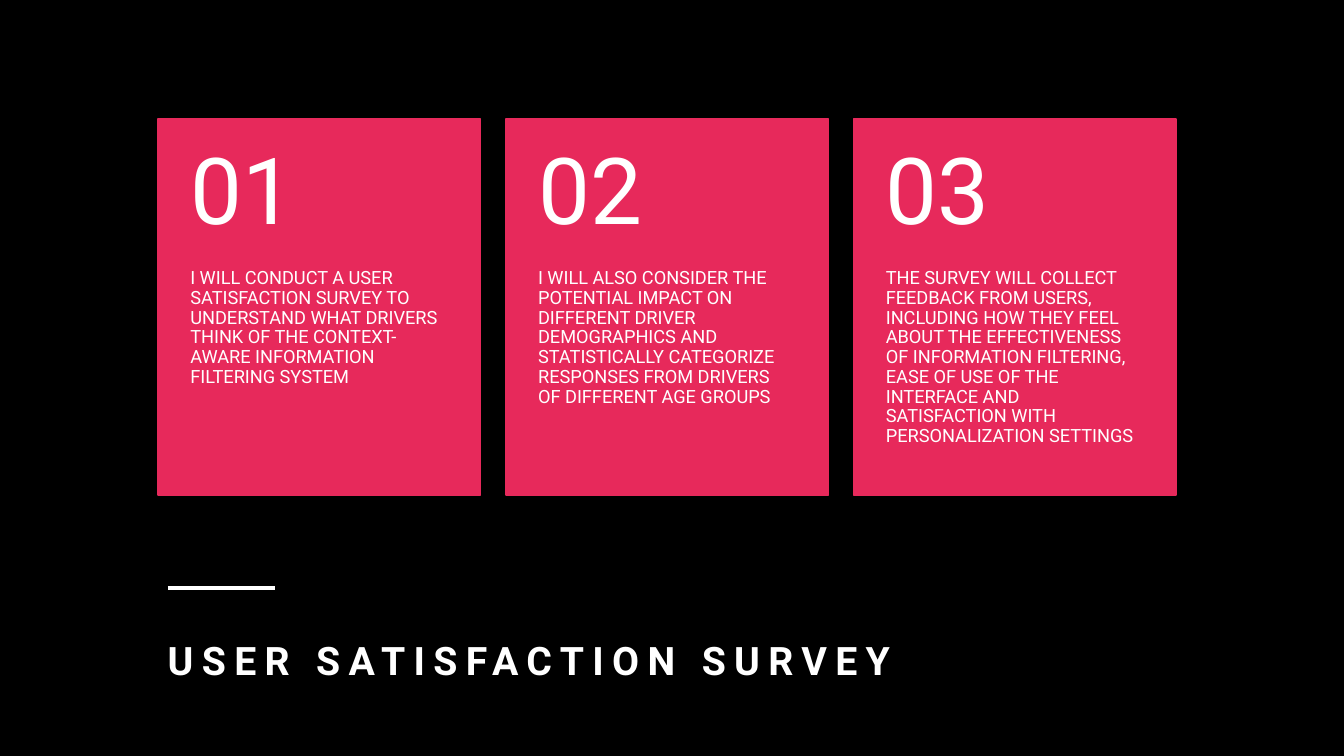
from lxml.etree import SubElement
from pptx import Presentation
from pptx.dml.color import RGBColor
from pptx.enum.shapes import MSO_CONNECTOR, MSO_SHAPE
from pptx.enum.text import MSO_ANCHOR, MSO_AUTO_SIZE, PP_ALIGN
from pptx.oxml.ns import qn
from pptx.util import Pt

BLACK = RGBColor(0x00, 0x00, 0x00)
WHITE = RGBColor(0xFF, 0xFF, 0xFF)
PINK = RGBColor(0xE7, 0x29, 0x5B)

CARD_LEFT, CARD_TOP = 113, 85
CARD_WIDTH, CARD_PITCH = 230.4, 248.4
NUMBER_HEIGHT, BODY_HEIGHT = 107.3, 161.3
CARDS = [
    "I WILL CONDUCT A USER SATISFACTION SURVEY TO UNDERSTAND WHAT DRIVERS "
    "THINK OF THE CONTEXT-AWARE INFORMATION FILTERING SYSTEM",
    "I WILL ALSO CONSIDER THE POTENTIAL IMPACT ON DIFFERENT DRIVER "
    "DEMOGRAPHICS AND STATISTICALLY CATEGORIZE RESPONSES FROM DRIVERS OF "
    "DIFFERENT AGE GROUPS",
    "THE SURVEY WILL COLLECT FEEDBACK FROM USERS, INCLUDING HOW THEY FEEL "
    "ABOUT THE EFFECTIVENESS OF INFORMATION FILTERING, EASE OF USE OF THE "
    "INTERFACE AND SATISFACTION WITH PERSONALIZATION SETTINGS",
]


class SlideBuilder:
    """Draws styled elements on one slide."""

    def __init__(self, s, font="Roboto"):
        self.s = s
        self.font = font
        self.cards = None
        s.background.fill.solid()
        s.background.fill.fore_color.rgb = BLACK

    def add_run(self, tf, text, size, spacing, bold=False):
        tf.word_wrap = True
        tf.auto_size = MSO_AUTO_SIZE.NONE
        p = tf.paragraphs[0]
        p.alignment = PP_ALIGN.LEFT
        p.line_spacing = spacing
        r = p.add_run()
        r.text = text
        r.font.name = self.font
        r.font.size = Pt(size)
        r.font.bold = bold
        r.font.color.rgb = WHITE
        return r

    def title(self, text, x, y, w, h):
        sp = self.s.shapes.title
        sp.left, sp.top, sp.width, sp.height = Pt(x), Pt(y), Pt(w), Pt(h)
        sp.text_frame.vertical_anchor = MSO_ANCHOR.TOP
        r = self.add_run(sp.text_frame, text, 28, 1.2, bold=True)
        r.font._element.set("spc", "600")

    def line(self, x1, x2, y):
        c = self.s.shapes.add_connector(
            MSO_CONNECTOR.STRAIGHT, Pt(x1), Pt(y), Pt(x2), Pt(y))
        c.line.color.rgb = WHITE
        c.line.width = Pt(2.5)
        SubElement(c._element.spPr, qn("a:effectLst"))

    def text(self, text, size, x, y, w, h, top, bottom, anchor):
        tf = self.cards.add_textbox(Pt(x), Pt(y), Pt(w), Pt(h)).text_frame
        tf.margin_left = tf.margin_right = Pt(23)
        tf.margin_top, tf.margin_bottom = Pt(top), Pt(bottom)
        tf.vertical_anchor = anchor
        self.add_run(tf, text, size, 0.9)

    def card(self, number, body, x):
        if self.cards is None:
            self.cards = self.s.shapes.add_group_shape().shapes
        sp = self.cards.add_shape(
            MSO_SHAPE.RECTANGLE, Pt(x), Pt(CARD_TOP), Pt(CARD_WIDTH),
            Pt(NUMBER_HEIGHT + BODY_HEIGHT))
        sp.shadow.inherit = False
        sp.fill.solid()
        sp.fill.fore_color.rgb = PINK
        sp.line.color.rgb = PINK
        sp.line.width = Pt(1)
        self.text(body, 13, x, CARD_TOP + NUMBER_HEIGHT, CARD_WIDTH,
                  BODY_HEIGHT, 0, 26, MSO_ANCHOR.TOP)
        self.text(f"{number:02d}", 66, x, CARD_TOP, CARD_WIDTH,
                  NUMBER_HEIGHT, 13, 13, MSO_ANCHOR.MIDDLE)


def main():
    prs = Presentation()
    prs.slide_width, prs.slide_height = Pt(960), Pt(540)
    slide = SlideBuilder(prs.slides.add_slide(prs.slide_layouts[5]))
    slide.title("USER SATISFACTION SURVEY", 112.6, 444.2, 727, 78.5)
    slide.line(120, 196.5, 420)
    for i, body in enumerate(CARDS):
        slide.card(i + 1, body, CARD_LEFT + i * CARD_PITCH)
    prs.save("out.pptx")


if __name__ == "__main__":
    main()
